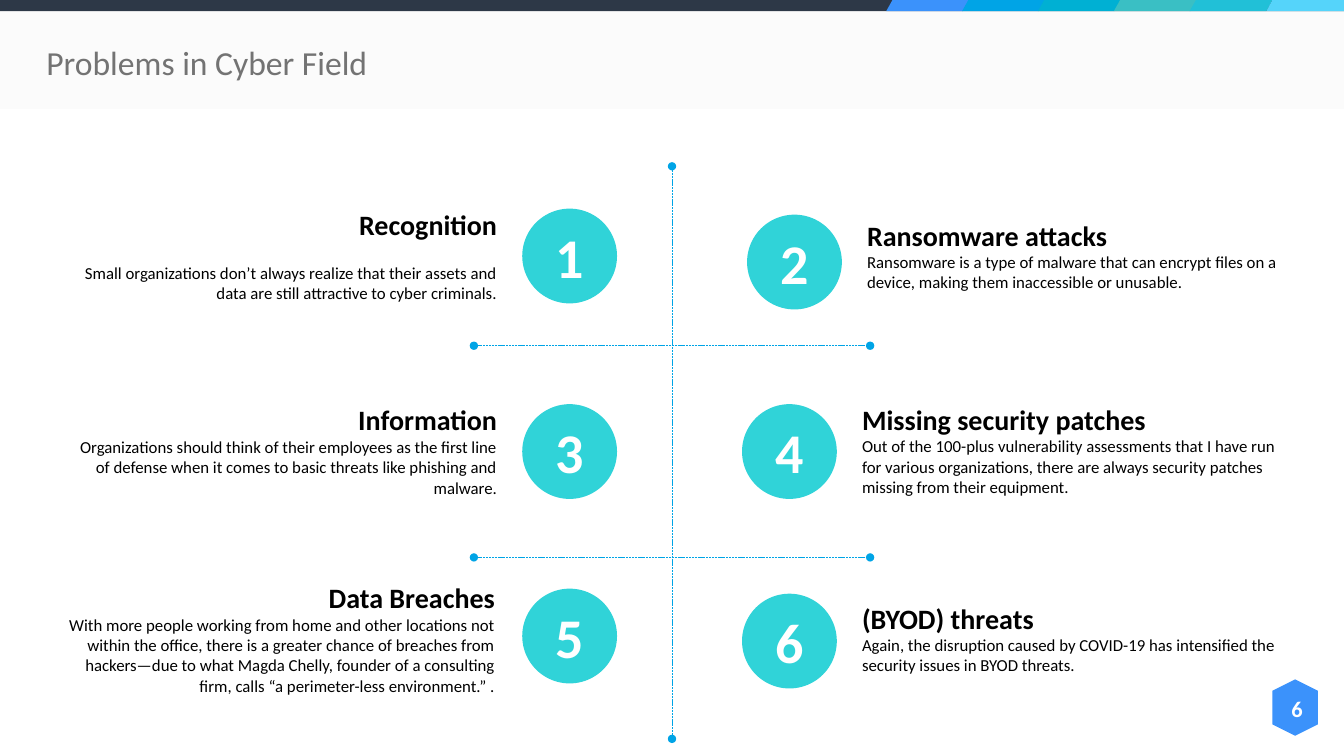
from pptx import Presentation
from pptx.dml.color import RGBColor
from pptx.enum.dml import MSO_LINE
from pptx.enum.shapes import MSO_CONNECTOR, MSO_SHAPE
from pptx.enum.text import MSO_ANCHOR, MSO_AUTO_SIZE, PP_ALIGN
from pptx.oxml.ns import qn
from pptx.oxml.xmlchemy import OxmlElement
from pptx.util import Inches, Pt

RECTANGLE, OVAL = MSO_SHAPE.RECTANGLE, MSO_SHAPE.OVAL
PARALLELOGRAM, HEXAGON = MSO_SHAPE.PARALLELOGRAM, MSO_SHAPE.HEXAGON
LEFT, CENTER, RIGHT = PP_ALIGN.LEFT, PP_ALIGN.CENTER, PP_ALIGN.RIGHT
MIDDLE, NO_FIT = MSO_ANCHOR.MIDDLE, MSO_AUTO_SIZE.NONE
STRAIGHT, DASH = MSO_CONNECTOR.STRAIGHT, MSO_LINE.SQUARE_DOT

FONT = "Calibri"
WIDTH, HEIGHT = 13.33, 7.5
STRIP_HEIGHT = 0.11
CIRCLE_SIZE = 0.94
TEXT_WIDTH = 4.24

COLORS = {
    "band": "F2F2F2", "strip": "2D3847", "accent": "3B92FB", "line": "00A4E6",
    "circle": "30D3D8", "title": "404040", "text": "000000", "white": "FFFFFF",
}
STRIPE_COLORS = ["3B92FB", "00A4E6", "00B0D3", "3ABFC4", "21C0D7"]
LAST_STRIPE_COLOR = "55D4FA"

# Circle left and top, text left, top and height, alignment, heading, body, gap in points
PROBLEMS = [
    (5.18, 2.07, 0.69, 2.06, 0.94, RIGHT, "Recognition",
     "Small organizations don’t always realize that their assets and data are "
     "still attractive to cyber criminals.", 15.4),
    (7.41, 2.13, 8.6, 2.16, 0.74, LEFT, "Ransomware attacks",
     "Ransomware is a type of malware that can encrypt files on a device, "
     "making them inaccessible or unusable.", 0),
    (5.18, 4.01, 0.69, 3.99, 0.95, RIGHT, "Information",
     "Organizations should think of their employees as the first line of defense "
     "when it comes to basic threats like phishing and malware.", 0.4),
    (7.36, 4.01, 8.55, 3.99, 0.94, LEFT, "Missing security patches",
     "Out of the 100-plus vulnerability assessments that I have run for various "
     "organizations, there are always security patches missing from their equipment.", 0),
    (5.18, 5.84, 0.67, 5.76, 1.14, RIGHT, "Data Breaches",
     "With more people working from home and other locations not within the office, "
     "there is a greater chance of breaches from hackers—due to what Magda Chelly, "
     "founder of a consulting firm, calls “a perimeter-less environment.” .", 0.4),
    (7.36, 5.89, 8.55, 5.96, 0.74, LEFT, "(BYOD) threats",
     "Again, the disruption caused by COVID-19 has intensified the security issues "
     "in BYOD threats.", 0),
]


def set_fill(shape, color):
    shape.shadow.inherit = False
    shape.fill.solid()
    shape.fill.fore_color.rgb = RGBColor.from_string(color)
    shape.line.fill.background()


def add_filled_shape(slide, kind, box, color):
    shape = slide.shapes.add_shape(kind, *map(Inches, box))
    set_fill(shape, color)
    return shape


def set_frame(frame, margin=0):
    values = {
        "word_wrap": True, "auto_size": NO_FIT, "vertical_anchor": MIDDLE,
        "margin_left": margin, "margin_right": margin,
        "margin_top": margin // 2, "margin_bottom": margin // 2,
    }
    for name, value in values.items():
        setattr(frame, name, value)


def write(paragraph, text, size, color, bold=False, alignment=LEFT):
    paragraph.text = text
    paragraph.alignment = alignment
    values = {"name": FONT, "size": Pt(size), "bold": bold}
    for name, value in values.items():
        setattr(paragraph.font, name, value)
    paragraph.font.color.rgb = RGBColor.from_string(color)


def add_header(slide, box):
    left, top, width, height = box
    # Pale title band
    band = add_filled_shape(
        slide, RECTANGLE, (left, top + STRIP_HEIGHT, width, height - STRIP_HEIGHT),
        COLORS["band"])
    alpha = OxmlElement("a:alpha")
    alpha.set("val", "29000")
    band.fill._xPr.find(".//" + qn("a:srgbClr")).append(alpha)

    # Dark strip with slanted stripes
    add_filled_shape(slide, RECTANGLE, (left, top, width, STRIP_HEIGHT), COLORS["strip"])
    for index, color in enumerate(STRIPE_COLORS):
        stripe = add_filled_shape(
            slide, PARALLELOGRAM,
            (left + 8.79 + index * 0.7525, top, 0.82, STRIP_HEIGHT), color)
        stripe.adjustments[0] = 0.56
    right, bottom = left + width, top + STRIP_HEIGHT
    builder = slide.shapes.build_freeform(Inches(right - 0.71), Inches(top))
    corners = [(right, top), (right, bottom), (right - 0.77, bottom)]
    builder.add_line_segments([(Inches(x), Inches(y)) for x, y in corners])
    set_fill(builder.convert_to_shape(), LAST_STRIPE_COLOR)

    # Title
    title = slide.shapes.title
    places = {"left": 0.36, "top": 0.37, "width": 7.42, "height": 0.55}
    for name, value in places.items():
        setattr(title, name, Inches(value))
    set_frame(title.text_frame, Inches(0.1))
    write(title.text_frame.paragraphs[0], "Problems in Cyber Field", 24, COLORS["title"])
    title.text_frame.paragraphs[0].line_spacing = 0.9


def add_page_number(slide, box):
    left, top, width, height = box
    # The hexagon is laid flat, then turned upright about its centre
    hexagon = add_filled_shape(
        slide, HEXAGON,
        (left + (width - height) / 2, top + (height - width) / 2, height, width),
        COLORS["accent"])
    hexagon.rotation = 90
    label = slide.shapes.add_textbox(*map(Inches, (left - 0.06, top + 0.1, 0.61, 0.37)))
    set_frame(label.text_frame)
    write(label.text_frame.paragraphs[0], "6", 16, COLORS["white"], True, CENTER)


def add_divider(slide, start, end):
    divider = slide.shapes.add_connector(STRAIGHT, *map(Inches, start + end))
    divider.line.color.rgb = RGBColor.from_string(COLORS["line"])
    divider.line.width = Pt(0.5)
    divider.line.dash_style = DASH
    properties = divider._element.spPr
    outline = properties.find(qn("a:ln"))
    for tag in ("a:headEnd", "a:tailEnd"):
        dot = OxmlElement(tag)
        dot.set("type", "oval")
        outline.append(dot)
    properties.append(OxmlElement("a:effectLst"))


def add_dividers(slide, box):
    left, top, width, height = box
    center = left + width / 2
    add_divider(slide, (center, top), (center, top + height))
    for offset in (1.78, 3.88):
        add_divider(slide, (left, top + offset), (left + width, top + offset))


def add_problem(slide, number, circle_place, text_box, alignment, heading, body, gap):
    # Numbered circle
    circle = add_filled_shape(
        slide, OVAL, (*circle_place, CIRCLE_SIZE, CIRCLE_SIZE), COLORS["circle"])
    set_frame(circle.text_frame)
    write(circle.text_frame.paragraphs[0], str(number), 40, COLORS["white"], True, CENTER)

    # Heading and explanation
    frame = slide.shapes.add_textbox(*map(Inches, text_box)).text_frame
    set_frame(frame)
    write(frame.paragraphs[0], heading, 20, COLORS["text"], True, alignment)
    explanation = frame.add_paragraph()
    write(explanation, body, 12, COLORS["text"], False, alignment)
    explanation.space_before = Pt(gap)


def main():
    presentation = Presentation()
    presentation.slide_width = Inches(WIDTH)
    presentation.slide_height = Inches(HEIGHT)
    slide = presentation.slides.add_slide(presentation.slide_layouts[5])

    add_header(slide, (0, 0, WIDTH, 1.08))
    add_page_number(slide, (12.62, 6.74, 0.45, 0.56))
    add_dividers(slide, (4.7, 1.65, 3.93, 5.68))
    for number, problem in enumerate(PROBLEMS, start=1):
        circle_left, circle_top, left, top, height, *content = problem
        add_problem(slide, number, (circle_left, circle_top),
                    (left, top, TEXT_WIDTH, height), *content)

    presentation.save("out.pptx")


if __name__ == "__main__":
    main()
